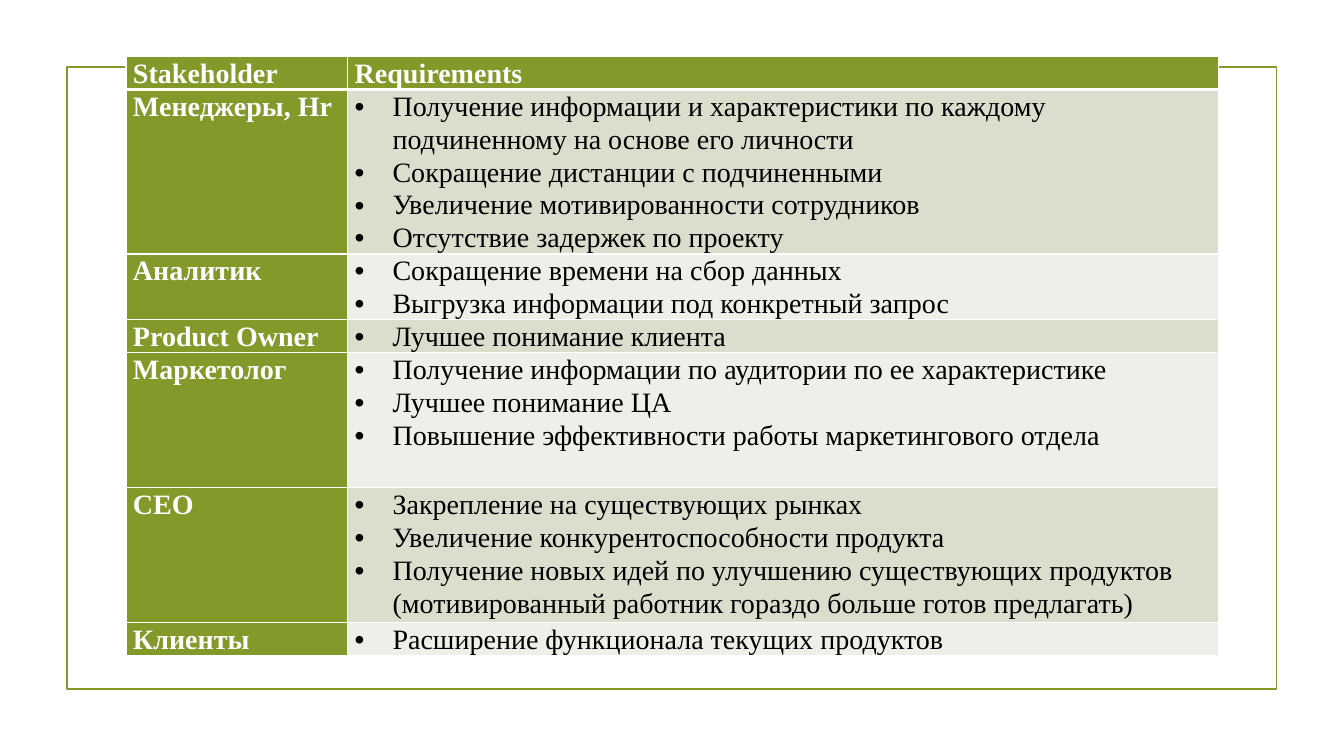
import dataclasses

import pptx
import pptx.dml.color
import pptx.enum.shapes
import pptx.oxml
import pptx.oxml.ns
import pptx.util
from pptx.util import Pt


@dataclasses.dataclass(frozen=True)
class Theme:
    font: str = "Times New Roman"
    size: float = 20
    green: str = "83992A"
    white: str = "FFFFFF"
    black: str = "000000"
    bands: tuple = ("D9DECD", "EDEFE8")
    line_spacing: float = 1.06
    bullet_indent: float = 27


THEME = Theme()
HEADERS = ("Stakeholder", "Requirements")
COLUMN_WIDTHS = (158.4, 622.1)
HEADER_HEIGHT = 19.3
# Stakeholder, row height, requirements
STAKEHOLDERS = [
    ("Менеджеры, Hr", 96.5, [
        "Получение информации и характеристики по каждому подчиненному на основе его личности",
        "Сокращение дистанции с подчиненными",
        "Увеличение мотивированности сотрудников",
        "Отсутствие задержек по проекту",
    ]),
    ("Аналитик", 38.6, [
        "Сокращение времени на сбор данных",
        "Выгрузка информации под конкретный запрос",
    ]),
    ("Product Owner", 19.3, ["Лучшее понимание клиента"]),
    ("Маркетолог", 96.5, [
        "Получение информации по аудитории по ее характеристике",
        "Лучшее понимание ЦА",
        "Повышение эффективности работы маркетингового отдела",
    ]),
    ("CEO", 96.5, [
        "Закрепление на существующих рынках",
        "Увеличение конкурентоспособности продукта",
        "Получение новых идей по улучшению существующих продуктов "
        "(мотивированный работник гораздо больше готов предлагать)",
    ]),
    ("Клиенты", 19.3, ["Расширение функционала текущих продуктов"]),
]


def rgb(color):
    return pptx.dml.color.RGBColor.from_string(color)


def xml(markup):
    tag, rest = markup.split(" ", 1)
    return pptx.oxml.parse_xml(f"{tag} {pptx.oxml.ns.nsdecls('a')} {rest}")


def write(p, text, color=THEME.black, bold=False, bullet=False):
    p.line_spacing = THEME.line_spacing
    r = p.add_run()
    r.text = text
    r.font.name = THEME.font
    r.font.size = Pt(THEME.size)
    r.font.bold = bold
    r.font.color.rgb = rgb(color)
    if bullet:
        pPr = p._p.get_or_add_pPr()
        indent = Pt(THEME.bullet_indent)
        pPr.set("marL", str(indent))
        pPr.set("indent", str(-indent))
        pPr.append(xml('<a:buFont typeface="Arial"/>'))
        pPr.append(xml('<a:buChar char="•"/>'))


def set_borders(cell, top=1, bottom=1):
    widths = {"lnL": 1, "lnR": 1, "lnT": top, "lnB": bottom}
    tcPr = cell._tc.get_or_add_tcPr()
    for i, (side, width) in enumerate(widths.items()):
        tcPr.insert(i, xml(
            f'<a:{side} w="{Pt(width)}"><a:solidFill><a:srgbClr val="{THEME.white}"/>'
            f'</a:solidFill></a:{side}>'))


def fill_cell(cell, lines, fill, top=1, bottom=1, **text_format):
    cell.margin_left = cell.margin_right = Pt(5)
    cell.margin_top = cell.margin_bottom = 0
    cell.fill.solid()
    cell.fill.fore_color.rgb = rgb(fill)
    set_borders(cell, top, bottom)
    tf = cell.text_frame
    for i, line in enumerate(lines):
        p = tf.add_paragraph() if i else tf.paragraphs[0]
        write(p, line, **text_format)


def add_frame(s, x, y, w, h):
    sp = s.shapes.add_shape(
        pptx.enum.shapes.MSO_SHAPE.RECTANGLE, Pt(x), Pt(y), Pt(w), Pt(h))
    sp.shadow.inherit = False
    sp.fill.background()
    sp.line.color.rgb = rgb(THEME.green)
    sp.line.width = Pt(1.25)


def add_requirements_table(s, x, y):
    heights = [HEADER_HEIGHT] + [height for _, height, _ in STAKEHOLDERS]
    table = s.shapes.add_table(
        len(heights), len(COLUMN_WIDTHS), Pt(x), Pt(y),
        Pt(sum(COLUMN_WIDTHS)), Pt(sum(heights))).table
    for column, width in zip(table.columns, COLUMN_WIDTHS):
        column.width = Pt(width)
    for row, height in zip(table.rows, heights):
        row.height = Pt(height)

    heading = {"fill": THEME.green, "color": THEME.white, "bold": True}
    for i, header in enumerate(HEADERS):
        fill_cell(table.cell(0, i), [header], bottom=3, **heading)
    for i, (name, _, requirements) in enumerate(STAKEHOLDERS):
        top = 1 if i else 3
        fill_cell(table.cell(i + 1, 0), [name], top=top, **heading)
        fill_cell(table.cell(i + 1, 1), requirements, THEME.bands[i % 2],
                  top=top, bullet=True)


def main():
    prs = pptx.Presentation()
    prs.slide_width, prs.slide_height = Pt(960), Pt(540)
    s = prs.slides.add_slide(prs.slide_layouts[6])
    add_frame(s, 47.8, 48, 864, 444)
    add_requirements_table(s, 90, 40.3)
    prs.save("out.pptx")


if __name__ == "__main__":
    main()
